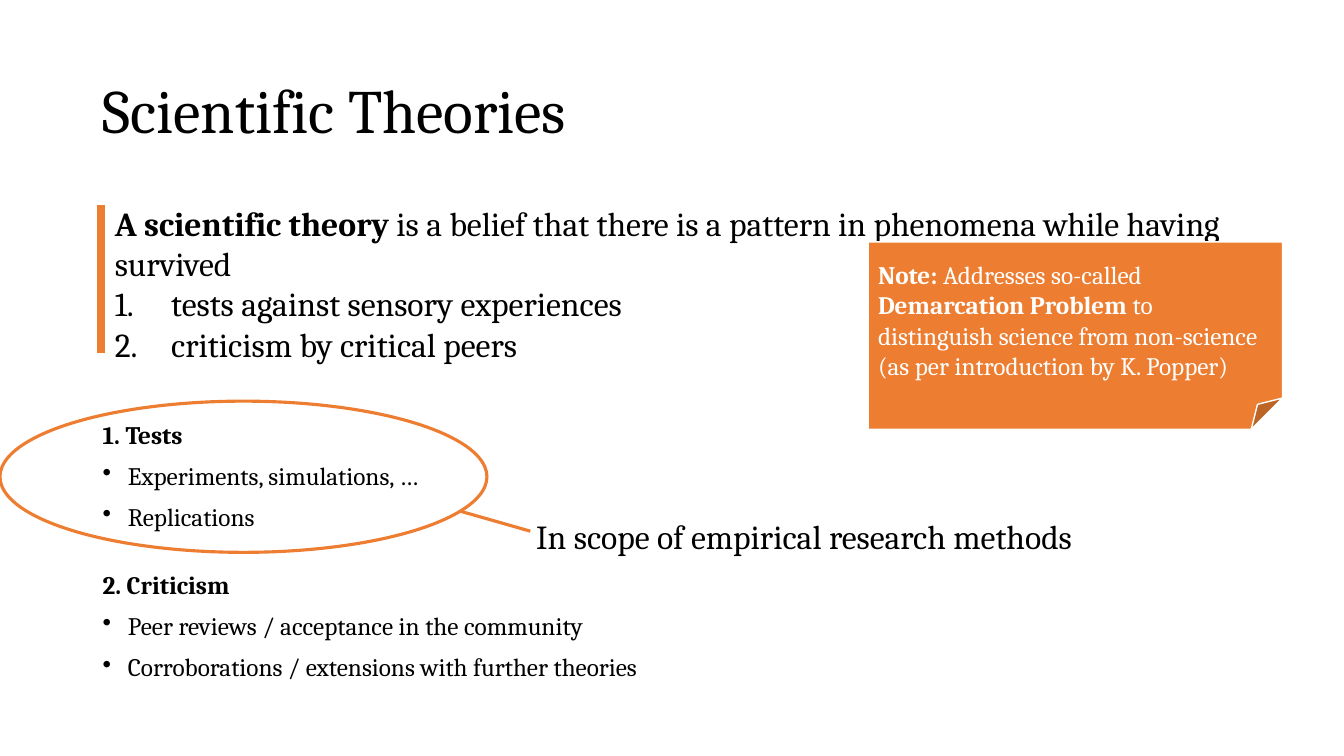
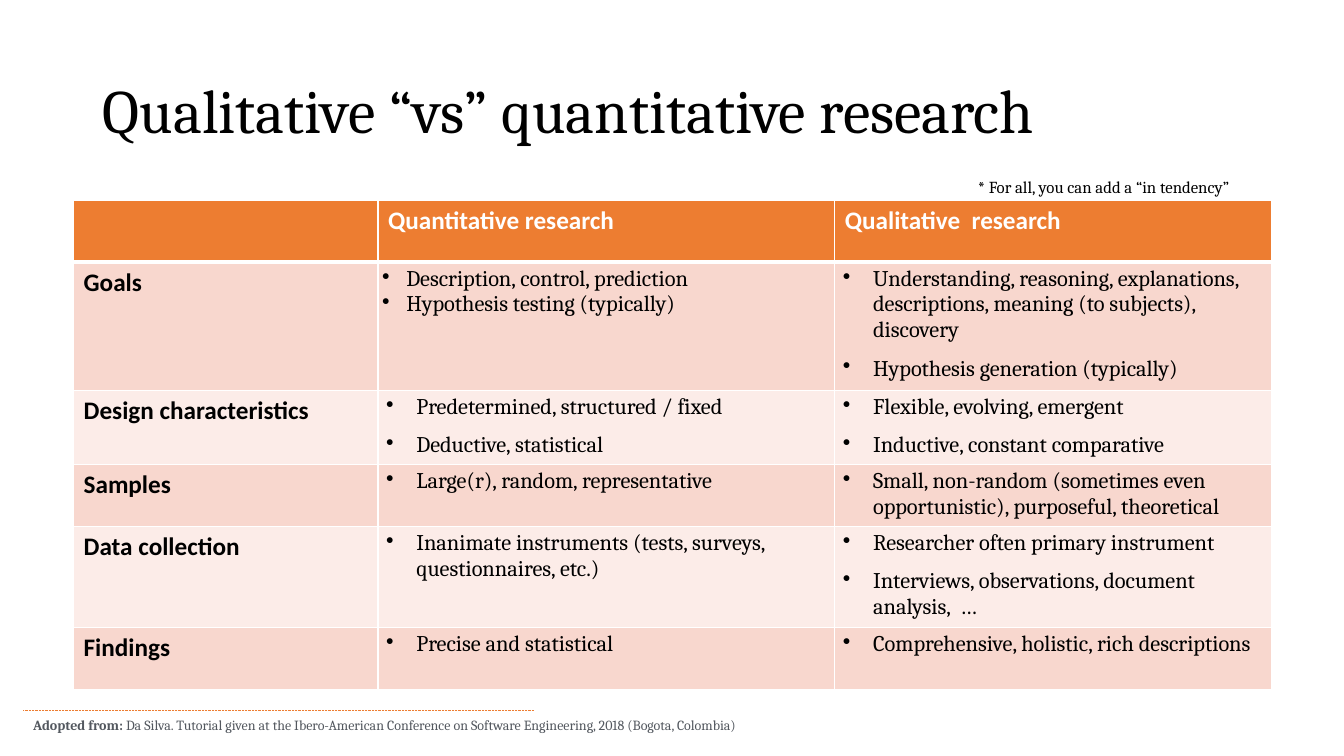
from dataclasses import dataclass

from lxml import etree
from pptx import Presentation
from pptx.dml.color import RGBColor
from pptx.enum.dml import MSO_LINE
from pptx.enum.shapes import MSO_CONNECTOR, MSO_SHAPE
from pptx.enum.text import MSO_ANCHOR, PP_ALIGN
from pptx.oxml.ns import qn
from pptx.util import Emu, Pt

# Shared look
PX = 9144  # EMU in one px, 100 px to the inch
ORANGE = RGBColor(0xED, 0x7D, 0x31)
ROSE = RGBColor(0xF8, 0xD7, 0xCE)
BLUSH = RGBColor(0xFC, 0xEC, 0xE8)
BLACK = RGBColor(0x00, 0x00, 0x00)
WHITE = RGBColor(0xFF, 0xFF, 0xFF)
GREY = RGBColor(0x53, 0x58, 0x5F)
SERIF, SANS = "Cambria", "Calibri"
STRAIGHT = MSO_CONNECTOR.STRAIGHT
ELLIPSE, NOTE = MSO_SHAPE.OVAL, MSO_SHAPE.FOLDED_CORNER
LEFT, TOP, MIDDLE = PP_ALIGN.LEFT, MSO_ANCHOR.TOP, MSO_ANCHOR.MIDDLE
DOTTED = MSO_LINE.ROUND_DOT
BLANK = 6
NARROW = 4  # small text margin


@dataclass(frozen=True)
class Box:
    left: int
    top: int
    width: int
    height: int

    def emu(self) -> list[Emu]:
        return [px(n) for n in (self.left, self.top, self.width, self.height)]


@dataclass(frozen=True)
class Style:
    size: int
    color: RGBColor = BLACK
    font: str = SERIF
    bold: bool = False
    line_spacing: float = 1.0


@dataclass(frozen=True)
class Bullet:
    margin: int
    hanging: int
    tag: str = "a:buChar"
    key: str = "char"
    value: str = "•"


@dataclass(frozen=True)
class Para:
    text: str  # parts between ** are bold
    bullet: Bullet | None = None
    before: int = 0


@dataclass(frozen=True)
class Row:
    label: str
    quantitative: list[Para]
    qualitative: list[Para]
    height: int


TITLE = Style(44, line_spacing=0.9)
BODY = Style(18, line_spacing=0.9)
LARGE = Style(24)
NOTE_TEXT = Style(18, WHITE)
HEADER = Style(18, WHITE, SANS, True)
LABEL = Style(18, BLACK, SANS, True)
CELL = Style(16)
REMARK = Style(12)
SOURCE = Style(10, GREY)

BODY_BULLET = Bullet(25, 25)
NUMBER = Bullet(56, 56, "a:buAutoNum", "type", "arabicPeriod")
CELL_BULLET = Bullet(34, 30)
TIGHT_BULLET = Bullet(24, 24)


def px(length: int) -> Emu:
    return Emu(length * PX)


def write(frame, paras: list[Para], style: Style) -> None:
    for index, para in enumerate(paras):
        paragraph = frame.paragraphs[0] if index == 0 else frame.add_paragraph()
        if para.bullet:
            props = paragraph._p.get_or_add_pPr()
            props.set("marL", str(px(para.bullet.margin)))
            props.set("indent", str(-px(para.bullet.hanging)))
            mark = etree.SubElement(props, qn(para.bullet.tag))
            mark.set(para.bullet.key, para.bullet.value)
        paragraph.alignment = LEFT
        paragraph.line_spacing = style.line_spacing
        paragraph.space_before = Pt(para.before if index else 0)
        for part, text in enumerate(para.text.split("**")):
            if text:
                run = paragraph.add_run()
                run.text = text
                run.font.name = style.font
                run.font.size = Pt(style.size)
                run.font.color.rgb = style.color
                run.font.bold = style.bold or part % 2 == 1


def add_text(slide, box: Box, paras: list[Para], style: Style,
             anchor=TOP, margin: int | None = None) -> None:
    frame = slide.shapes.add_textbox(*box.emu()).text_frame
    frame.word_wrap = True
    frame.vertical_anchor = anchor
    if margin is not None:
        set_margins(frame, margin)
    write(frame, paras, style)


def set_margins(holder, margin: int) -> None:
    holder.margin_left = holder.margin_right = px(margin)
    holder.margin_top = holder.margin_bottom = px(margin)


def add_line(slide, start: tuple[int, int], end: tuple[int, int],
             width: float, dash=None) -> None:
    ends = [px(n) for n in start + end]
    connector = slide.shapes.add_connector(STRAIGHT, *ends)
    connector.line.color.rgb = ORANGE
    connector.line.width = Pt(width)
    if dash:
        connector.line.dash_style = dash
    etree.SubElement(connector._element.spPr, qn("a:effectLst"))


def add_outlined(slide, kind, box: Box, line: RGBColor, width: float,
                 fill: RGBColor | None = None):
    shape = slide.shapes.add_shape(kind, *box.emu())
    shape.shadow.inherit = False
    shape.line.color.rgb = line
    shape.line.width = Pt(width)
    if fill is None:
        shape.fill.background()
    else:
        shape.fill.solid()
        shape.fill.fore_color.rgb = fill
    return shape


def add_titled_slide(deck, title: str):
    slide = deck.slides.add_slide(deck.slide_layouts[BLANK])
    add_text(slide, Box(92, 40, 1150, 145), [Para(title)], TITLE, MIDDLE)
    return slide


def fill_cell(cell, paras: list[Para], style: Style, fill: RGBColor,
              top: int = 1, bottom: int = 1) -> None:
    props = cell._tc.get_or_add_tcPr()
    for side, width in (("L", 1), ("R", 1), ("T", top), ("B", bottom)):
        border = etree.SubElement(props, qn(f"a:ln{side}"), w=str(Pt(width)))
        paint = etree.SubElement(border, qn("a:solidFill"))
        etree.SubElement(paint, qn("a:srgbClr"), val=str(WHITE))
    cell.fill.solid()
    cell.fill.fore_color.rgb = fill
    if style is CELL:
        set_margins(cell, NARROW)
    write(cell.text_frame, paras, style)


def points(*texts: str) -> list[Para]:
    return [Para(text, CELL_BULLET, 9) for text in texts]


def build_theories(deck) -> None:
    slide = add_titled_slide(deck, "Scientific Theories")

    # Tests and criticism
    add_text(slide, Box(92, 414, 1150, 308), [
        Para("**1. Tests**"),
        Para("Experiments, simulations, …", BODY_BULLET, 10),
        Para("Replications", BODY_BULLET, 10),
        Para("**2. Criticism**", before=29),
        Para("Peer reviews / acceptance in the community", BODY_BULLET, 10),
        Para("Corroborations / extensions with further theories", BODY_BULLET, 10),
    ], BODY)

    # Definition with its bar
    add_text(slide, Box(104, 196, 1126, 212), [
        Para("**A scientific theory** is a belief that there is a pattern in "
             "phenomena while having survived"),
        Para("tests against sensory experiences", NUMBER),
        Para("criticism by critical peers", NUMBER),
    ], LARGE)
    add_line(slide, (100, 203), (100, 350), 6)

    # Note
    note = add_outlined(slide, NOTE, Box(861, 240, 411, 186), WHITE, 1, ORANGE)
    note.text_frame.word_wrap = True
    note.text_frame.vertical_anchor = MIDDLE
    write(note.text_frame, [
        Para("**Note: **Addresses so-called **Demarcation Problem **to distinguish "
             "science from non-science (as per introduction by K. Popper)"),
    ], NOTE_TEXT)

    # Scope callout
    add_outlined(slide, ELLIPSE, Box(0, 398, 483, 150), ORANGE, 2.25)
    add_text(slide, Box(522, 507, 667, 50),
             [Para("In scope of empirical research methods")], LARGE)
    add_line(slide, (456, 507), (526, 527), 2.25)


def build_comparison(deck) -> None:
    slide = add_titled_slide(deck, "Qualitative “vs” quantitative research")

    # Comparison table
    headings = ["", "Quantitative research", "Qualitative  research"]
    rows = [
        Row("Goals",
            [Para("Description, control, prediction", TIGHT_BULLET),
             Para("Hypothesis testing (typically)", TIGHT_BULLET)],
            points("Understanding, reasoning, explanations, descriptions, "
                   "meaning (to subjects), discovery",
                   "Hypothesis generation (typically)"), 122),
        Row("Design characteristics",
            points("Predetermined, structured / fixed", "Deductive, statistical"),
            points("Flexible, evolving, emergent",
                   "Inductive, constant comparative"), 71),
        Row("Samples",
            points("Large(r), random, representative"),
            points("Small, non-random (sometimes even opportunistic), "
                   "purposeful, theoretical"), 61),
        Row("Data collection",
            points("Inanimate instruments (tests, surveys, questionnaires, etc.)"),
            points("Researcher often primary instrument",
                   "Interviews, observations, document analysis,  …"), 97),
        Row("Findings",
            points("Precise and statistical"),
            points("Comprehensive, holistic, rich descriptions"), 61),
    ]
    widths = [302, 453, 433]
    heights = [61] + [row.height for row in rows]
    area = Box(73, 199, sum(widths), sum(heights))
    table = slide.shapes.add_table(len(heights), len(widths), *area.emu()).table
    table.horz_banding = False
    for column, width in zip(table.columns, widths):
        column.width = px(width)
    for line, height in zip(table.rows, heights):
        line.height = px(height)
    for col, heading in enumerate(headings):
        fill_cell(table.cell(0, col), [Para(heading)], HEADER, ORANGE, bottom=3)
    for number, row in enumerate(rows, 1):
        fill = ROSE if number % 2 else BLUSH
        top = 3 if number == 1 else 1
        contents = [([Para(row.label)], LABEL),
                    (row.quantitative, CELL), (row.qualitative, CELL)]
        for col, (paras, style) in enumerate(contents):
            fill_cell(table.cell(number, col), paras, style, fill, top)

    # Source and remark
    add_line(slide, (23, 705), (530, 705), 0.5, DOTTED)
    add_text(slide, Box(23, 706, 795, 27), [
        Para("**Adopted from:** Da Silva. Tutorial given at the Ibero-American "
             "Conference on Software Engineering, 2018 (Bogota, Colombia)"),
    ], SOURCE)
    add_text(slide, Box(966, 171, 287, 28),
             [Para("* For all, you can add a “in tendency”")],
             REMARK, MIDDLE, NARROW)


def main() -> None:
    deck = Presentation()
    deck.slide_width, deck.slide_height = px(1333), px(750)
    build_theories(deck)
    build_comparison(deck)
    deck.save("out.pptx")


if __name__ == "__main__":
    main()
